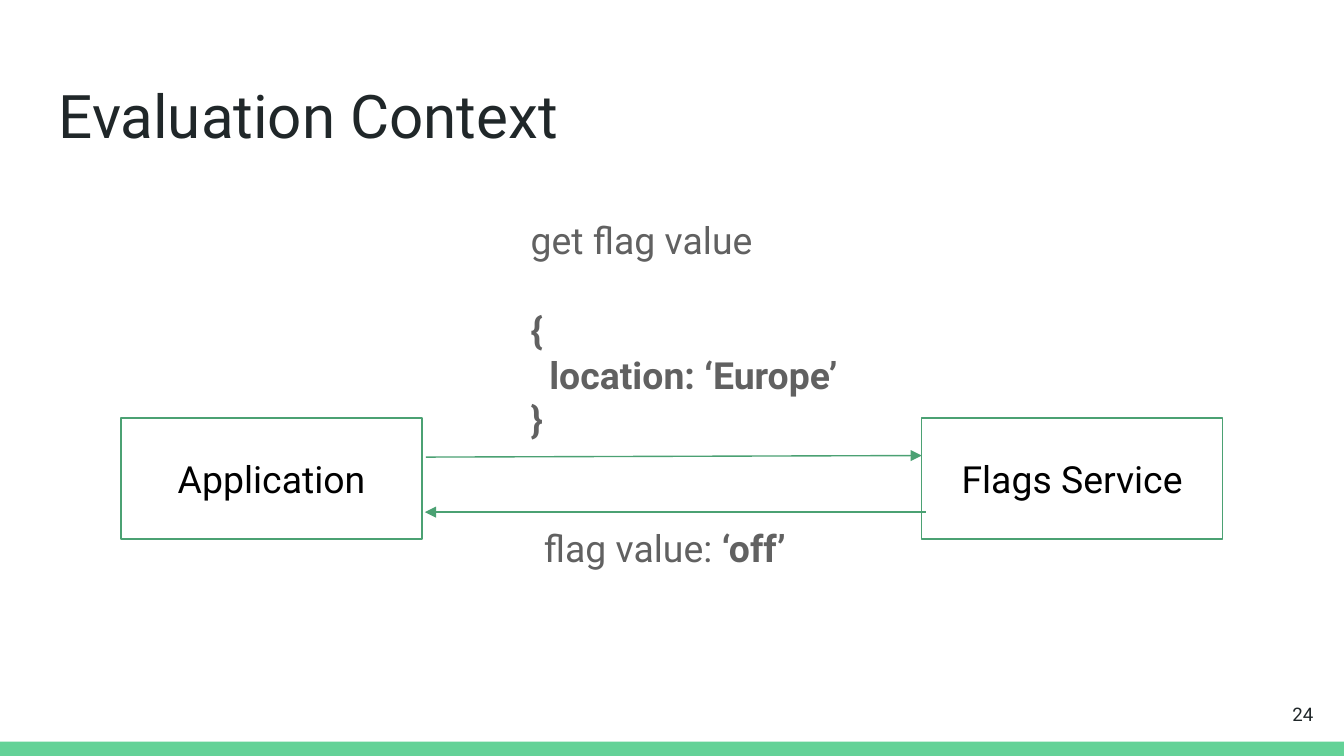
from pptx import Presentation
from pptx.dml.color import RGBColor
from pptx.enum.shapes import MSO_CONNECTOR, MSO_SHAPE
from pptx.enum.text import MSO_ANCHOR, MSO_AUTO_SIZE, PP_ALIGN
from pptx.oxml.ns import qn
from pptx.util import Cm, Pt
from lxml import etree

RECT = MSO_SHAPE.RECTANGLE
STRAIGHT = MSO_CONNECTOR.STRAIGHT
TOP, MIDDLE = MSO_ANCHOR.TOP, MSO_ANCHOR.MIDDLE
LEFT, CENTER, RIGHT = PP_ALIGN.LEFT, PP_ALIGN.CENTER, PP_ALIGN.RIGHT
NO_FIT = MSO_AUTO_SIZE.NONE

FONT = "Roboto"
DARK, GREY, BLACK = "202729", "616161", "000000"
GREEN, EDGE = "63D297", "4BA173"


def color(code):
    return RGBColor.from_string(code)


def set_font(font, size, code, bold=False):
    font.name, font.size, font.bold = FONT, Pt(size), bold
    font.color.rgb = color(code)


def set_frame(frame, anchor=TOP):
    frame.word_wrap = True
    frame.auto_size = NO_FIT
    frame.vertical_anchor = anchor
    frame.margin_left = frame.margin_right = Cm(0.25)
    frame.margin_top = frame.margin_bottom = Cm(0.25)


def set_line(line):
    line.color.rgb = color(EDGE)
    line.width = Pt(0.75)


def add_title(slide, text):
    title = slide.shapes.title
    title.left, title.top = Cm(0.86), Cm(1.24)
    title.width, title.height = Cm(23.67), Cm(1.6)
    set_frame(title.text_frame)
    title.text_frame.text = text
    para = title.text_frame.paragraphs[0]
    para.alignment = LEFT
    set_font(para.font, 32.2, DARK)


def add_text(slide, x, y, w, h, anchor=TOP):
    frame = slide.shapes.add_textbox(Cm(x), Cm(y), Cm(w), Cm(h)).text_frame
    set_frame(frame, anchor)
    return frame


def add_bar(slide):
    bar = slide.shapes.add_shape(RECT, 0, Cm(14.02), Cm(25.4), Cm(0.27))
    bar.shadow.inherit = False
    bar.fill.solid()
    bar.fill.fore_color.rgb = color(GREEN)
    bar.line.fill.background()


def add_box(slide, x, text):
    box = slide.shapes.add_shape(RECT, Cm(x), Cm(7.9), Cm(5.69), Cm(2.29))
    box.shadow.inherit = False
    box.fill.background()
    set_line(box.line)
    set_frame(box.text_frame, MIDDLE)
    box.text_frame.text = text
    para = box.text_frame.paragraphs[0]
    para.alignment = CENTER
    set_font(para.font, 20, BLACK)


def add_arrow(slide, x1, y1, x2, y2):
    arrow = slide.shapes.add_connector(STRAIGHT, Cm(x1), Cm(y1), Cm(x2), Cm(y2))
    set_line(arrow.line)
    etree.SubElement(arrow.line._get_or_add_ln(), qn("a:tailEnd"), type="triangle")
    etree.SubElement(arrow._element.spPr, qn("a:effectLst"))


def add_request(slide):
    frame = add_text(slide, 9.78, 3.86, 6.45, 4.8)
    frame.text = "get flag value\n{\n  location: ‘Europe’\n}"
    for i, para in enumerate(frame.paragraphs):
        set_font(para.font, 20, GREY, bold=i > 0)
    frame.paragraphs[1].space_before = Pt(24)


def add_reply(slide):
    para = add_text(slide, 10.03, 9.68, 6.45, 1.37).paragraphs[0]
    set_font(para.font, 20, GREY)
    para.add_run().text = "flag value: "
    value = para.add_run()
    value.text = "‘off’"
    value.font.bold = True


def add_number(slide, text):
    frame = add_text(slide, 23.55, 12.95, 1.52, 1.09, MIDDLE)
    frame.text = text
    para = frame.paragraphs[0]
    para.alignment = RIGHT
    set_font(para.font, 10, DARK)


def main():
    deck = Presentation()
    deck.slide_width, deck.slide_height = Cm(25.4), Cm(14.29)
    slide = deck.slides.add_slide(deck.slide_layouts[5])
    add_bar(slide)
    add_title(slide, "Evaluation Context")
    add_number(slide, "24")
    add_box(slide, 2.29, "Application")
    add_box(slide, 17.42, "Flags Service")
    add_arrow(slide, 8.05, 8.64, 17.42, 8.61)
    add_arrow(slide, 17.5, 9.68, 8.03, 9.68)
    add_request(slide)
    add_reply(slide)
    deck.save("out.pptx")


if __name__ == "__main__":
    main()
